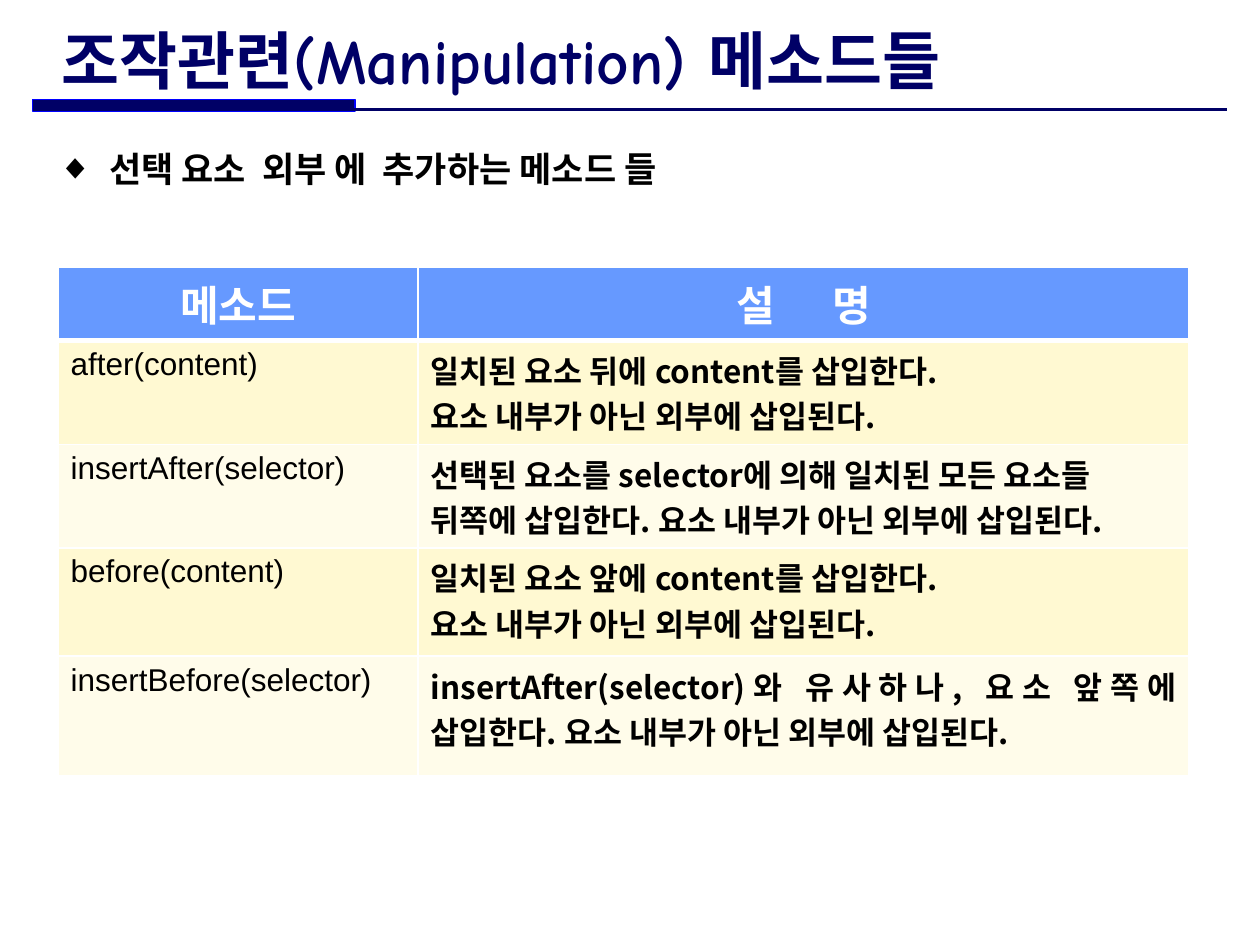
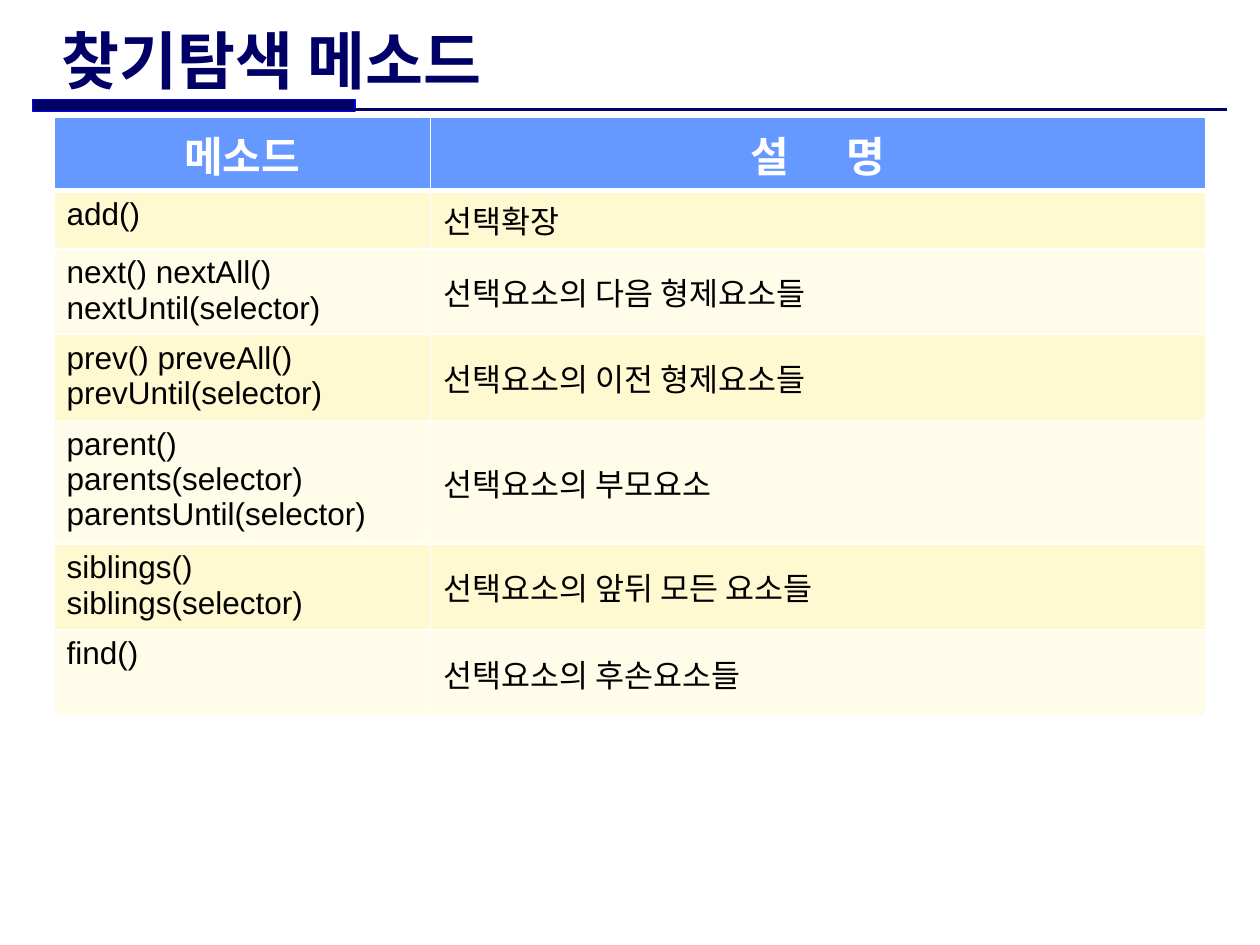
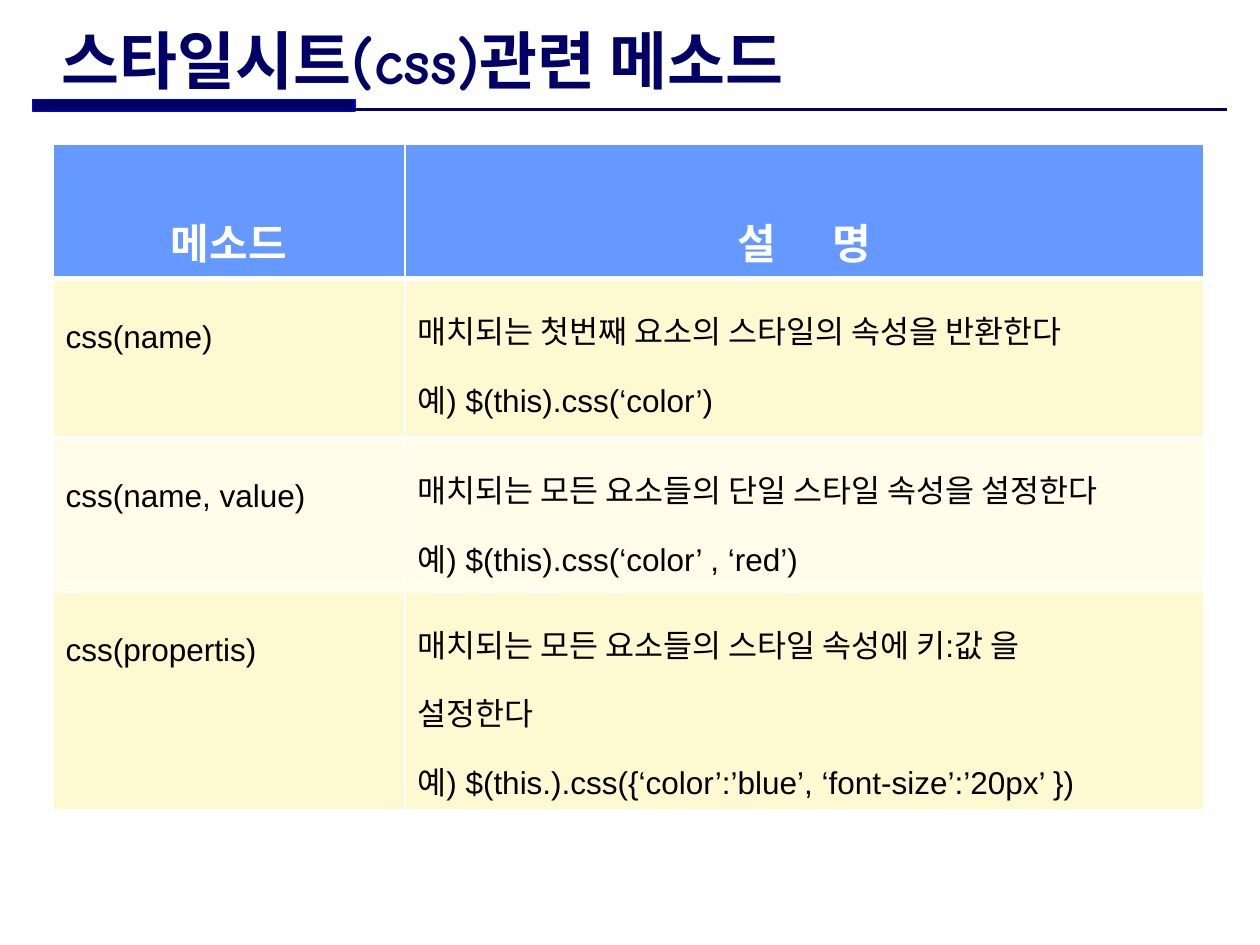
"""Build three slides of method tables under a shared title style."""
import pptx
import pptx.dml.color
import pptx.enum.shapes
import pptx.enum.text
import pptx.oxml.ns
import pptx.util
from lxml import etree

Cm = pptx.util.Cm
Pt = pptx.util.Pt
qn = pptx.oxml.ns.qn
ALIGN = pptx.enum.text.PP_ALIGN
ANCHOR = pptx.enum.text.MSO_ANCHOR

COLORS = {
    "navy": "000066", "blue": "0000FF", "header": "6699FF", "white": "FFFFFF",
    "black": "000000", "odd row": "FFF9D2", "even row": "FFFCEA",
}
KOREAN = "Noto Sans CJK KR"
HEADER = ("메소드", "설 명")
HEADER_GAP = 27

PAGES = [
    {
        "title": "조작관련(Manipulation) 메소드들",
        "title width": 21.13,
        "bullet": "선택 요소  외부 에  추가하는 메소드 들",
        "corner": (1.17, 5.38),
        "columns": (7.26, 15.54),
        "heights": (1.27, 1.85, 2.06, 2.18, 2.41),
        "text": {"font": KOREAN, "bold": True, "align": ALIGN.JUSTIFY},
        "rows": [
            (["after(content)"],
             ["일치된 요소 뒤에 content를 삽입한다.", "요소 내부가 아닌 외부에 삽입된다."]),
            (["insertAfter(selector)"],
             ["선택된 요소를 selector에 의해 일치된 모든 요소들",
              "뒤쪽에 삽입한다. 요소 내부가 아닌 외부에 삽입된다."]),
            (["before(content)"],
             ["일치된 요소 앞에 content를 삽입한다.", "요소 내부가 아닌 외부에 삽입된다."]),
            (["insertBefore(selector)"],
             ["insertAfter(selector)와 유사하나, 요소 앞쪽에 삽입한다. 요소 내부가 아닌 외부에 삽입된다."]),
        ],
    },
    {
        "title": "찾기탐색 메소드",
        "title width": 17.25,
        "corner": (1.09, 2.36),
        "columns": (7.59, 15.62),
        "heights": (1.24, 0.99, 1.73, 1.73, 2.49, 1.73, 1.75),
        "anchor": ANCHOR.MIDDLE,
        "rows": [
            (["add()"], ["선택확장"]),
            (["next() nextAll()", "nextUntil(selector)"], ["선택요소의 다음 형제요소들"]),
            (["prev() preveAll()", "prevUntil(selector)"], ["선택요소의 이전 형제요소들"]),
            (["parent()", "parents(selector)", "parentsUntil(selector)"], ["선택요소의 부모요소"]),
            (["siblings()", "siblings(selector)"], ["선택요소의 앞뒤 모든 요소들"]),
            (["find()"], ["선택요소의 후손요소들"]),
        ],
    },
    {
        "title": "스타일시트(css)관련 메소드",
        "title width": 17.25,
        "corner": (1.07, 2.9),
        "columns": (7.09, 16.1),
        "heights": (2.41, 3.2, 3.12, 3.78),
        "name": {"spacing": 2.0},
        "text": {"spacing": 1.5},
        "rows": [
            (["css(name)"],
             ["매치되는 첫번째 요소의 스타일의 속성을 반환한다", "예) $(this).css(‘color’)"]),
            (["css(name, value)"],
             ["매치되는 모든 요소들의 단일 스타일 속성을 설정한다",
              "예) $(this).css(‘color’ , ‘red’)"]),
            (["css(propertis)"],
             ["매치되는 모든 요소들의 스타일 속성에 키:값 을", "설정한다",
              "예) $(this.).css({‘color’:’blue’, ‘font-size’:’20px’ })"]),
        ],
    },
]


def rgb(name):
    return pptx.dml.color.RGBColor.from_string(COLORS[name])


def add_span(para, text, size, color, font, bold):
    span = para.add_run()
    span.text = text
    span.font.size = Pt(size)
    span.font.bold = bold
    span.font.color.rgb = rgb(color)
    span.font.name = font
    properties = span.font._element
    etree.SubElement(properties, qn("a:ea"), typeface=KOREAN)
    return properties


def write(frame, lines, size=18, color="black", font="Arial", bold=False,
          align=ALIGN.LEFT, spacing=1.0):
    for index, line in enumerate(lines):
        para = frame.add_paragraph() if index else frame.paragraphs[0]
        para.alignment = align
        para.line_spacing = spacing
        para.space_before = Pt(0)
        add_span(para, line, size, color, font, bold)


def write_header(frame, text, spacing):
    para = frame.paragraphs[0]
    para.alignment = ALIGN.CENTER
    para.line_spacing = spacing
    for part in text.partition(" "):
        if part:
            properties = add_span(para, part, 24, "white", "Arial", True)
            if part == " ":
                properties.set("spc", str(HEADER_GAP * 100))


def place(box, left, top, width, height):
    box.left, box.top, box.width, box.height = map(Cm, (left, top, width, height))
    box.text_frame.auto_size = pptx.enum.text.MSO_AUTO_SIZE.NONE
    box.text_frame.word_wrap = True


def add_title(page, text, width):
    place(page.shapes.title, 0.99, 0.53, width, 1.32)
    page.shapes.title.text_frame.vertical_anchor = ANCHOR.MIDDLE
    write(page.shapes.title.text_frame, [text], 36, "navy", "Comic Neue", True)


def add_title_rule(page):
    band = page.shapes.add_shape(pptx.enum.shapes.MSO_SHAPE.RECTANGLE,
                                 Cm(0.66), Cm(2.01), Cm(6.5), Cm(0.23))
    band.shadow.inherit = False
    band.fill.solid()
    band.fill.fore_color.rgb = rgb("navy")
    band.line.color.rgb = rgb("blue")
    band.line.width = Pt(0.75)
    rule = page.shapes.add_connector(pptx.enum.shapes.MSO_CONNECTOR.STRAIGHT,
                                     Cm(0.66), Cm(2.21), Cm(24.74), Cm(2.21))
    rule.line.color.rgb = rgb("navy")
    rule.line.width = Pt(1.5)
    etree.SubElement(rule._element.spPr, qn("a:effectLst"))


def add_bullet(box, text):
    place(box, 0.91, 2.84, 17.3, 1.12)
    write(box.text_frame, [text], size=20, bold=True)
    properties = box.text_frame.paragraphs[0]._p.get_or_add_pPr()
    properties.set("marL", str(Cm(1.04)))
    properties.set("indent", str(-Cm(1.04)))
    bullet_color = etree.SubElement(properties, qn("a:buClr"))
    etree.SubElement(bullet_color, qn("a:srgbClr"), val=COLORS["black"])
    etree.SubElement(properties, qn("a:buChar"), char="◆")


def dress_cell(cell, color, top, bottom):
    properties = cell._tc.get_or_add_tcPr()
    for side, width in (("L", 1), ("R", 1), ("T", top), ("B", bottom)):
        border = etree.SubElement(properties, qn("a:ln" + side), w=str(Pt(width)))
        fill = etree.SubElement(border, qn("a:solidFill"))
        etree.SubElement(fill, qn("a:srgbClr"), val=COLORS["white"])
    cell.fill.solid()
    cell.fill.fore_color.rgb = rgb(color)


def add_method_table(page, content):
    columns, heights = content["columns"], content["heights"]
    left, top = content["corner"]
    table = page.shapes.add_table(len(heights), len(columns), Cm(left), Cm(top),
                                  Cm(sum(columns)), Cm(sum(heights))).table
    for column, width in zip(table.columns, columns):
        column.width = Cm(width)
    for row, height in zip(table.rows, heights):
        row.height = Cm(height)
    name_style, text_style = content.get("name", {}), content.get("text", {})
    for cell, text in zip(table.rows[0].cells, HEADER):
        dress_cell(cell, "header", 1, 3)
        write_header(cell.text_frame, text, name_style.get("spacing", 1.0))
    for index, texts in enumerate(content["rows"], start=1):
        cells = table.rows[index].cells
        for cell, lines, style in zip(cells, texts, (name_style, text_style)):
            dress_cell(cell, "odd row" if index % 2 else "even row",
                       3 if index == 1 else 1, 1)
            write(cell.text_frame, lines, **style)
        cells[1].vertical_anchor = content.get("anchor", ANCHOR.TOP)


def main():
    deck = pptx.Presentation()
    deck.slide_width, deck.slide_height = Cm(25.4), Cm(19.05)
    for content in PAGES:
        layout = deck.slide_layouts[1 if "bullet" in content else 5]
        page = deck.slides.add_slide(layout)
        add_title_rule(page)
        add_title(page, content["title"], content["title width"])
        add_method_table(page, content)
        if "bullet" in content:
            add_bullet(page.placeholders[1], content["bullet"])
    deck.save("out.pptx")


if __name__ == "__main__":
    main()
